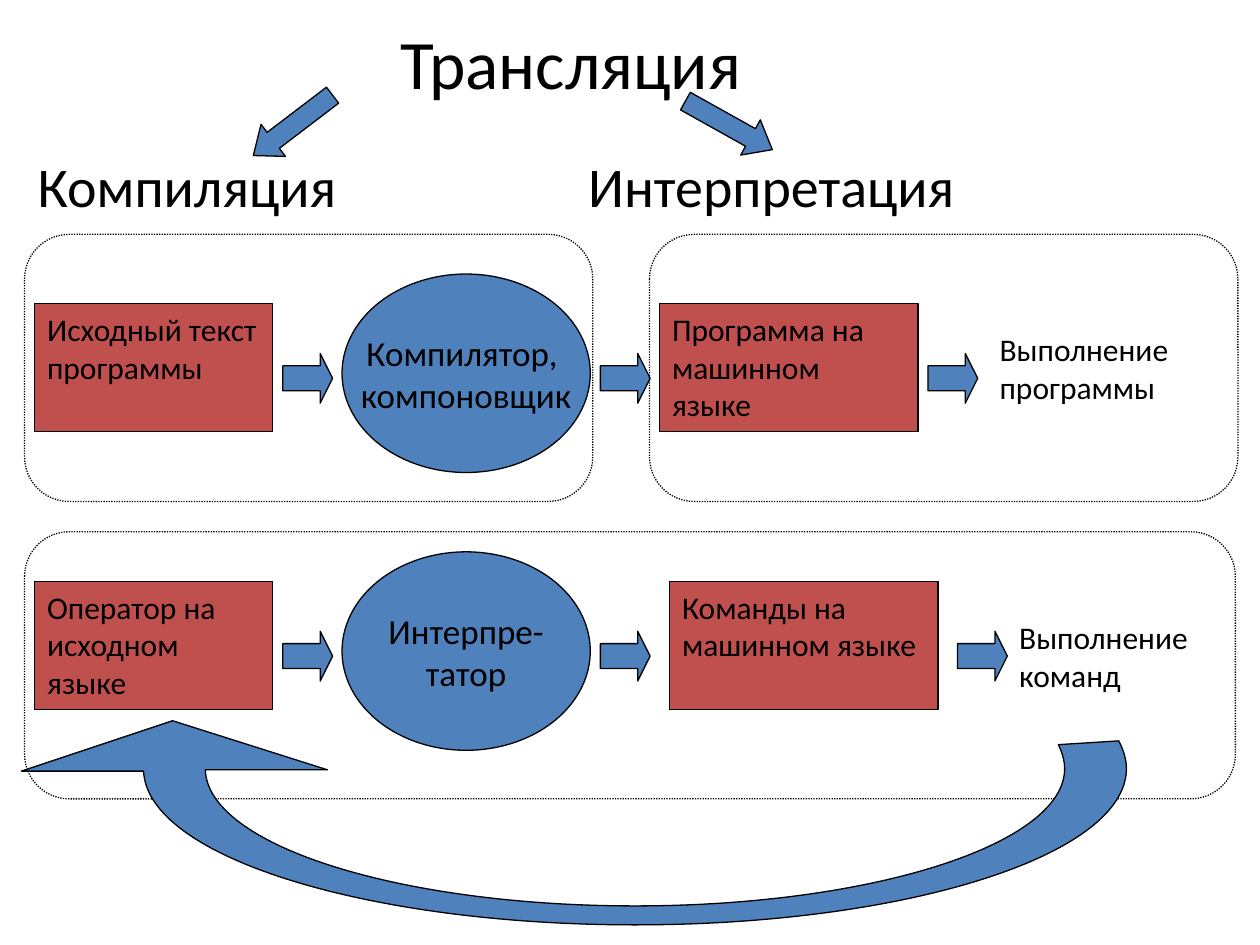
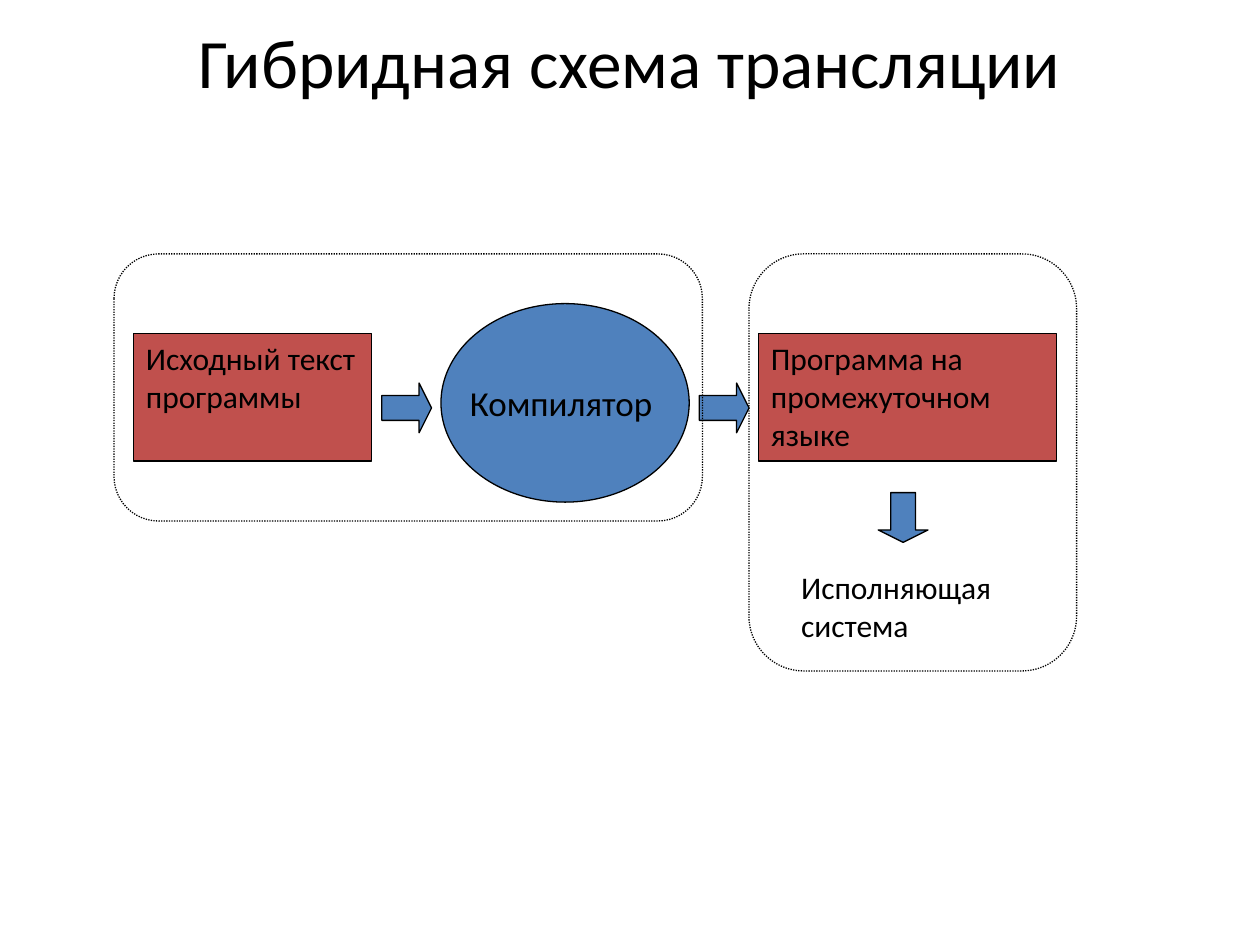
import lxml.etree
import pptx
import pptx.dml.color
import pptx.enum.dml
import pptx.enum.shapes
import pptx.enum.text
import pptx.oxml.ns
import pptx.util

BLACK = pptx.dml.color.RGBColor(0x00, 0x00, 0x00)
BLUE = pptx.dml.color.RGBColor(0x4F, 0x81, 0xBD)
RED = pptx.dml.color.RGBColor(0xC0, 0x50, 0x4D)
FONT = "Calibri"
KIND = pptx.enum.shapes.MSO_SHAPE
ALIGN = pptx.enum.text.PP_ALIGN
ANCHOR = pptx.enum.text.MSO_ANCHOR

deck = pptx.Presentation()
deck.slide_width = pptx.util.Inches(10)
deck.slide_height = pptx.util.Inches(7.5)
CELL = deck.slide_width // 100  # grid of 100 columns by 75 rows


def put(slide, kind, box, fill=None, turn=0, adj=()):
    """Place a shape by grid columns and rows; without a fill it is a dotted frame.

    A kind of None gives a plain text box.
    """
    place = [round(part * CELL) for part in box]
    if kind is None:
        return slide.shapes.add_textbox(*place)
    shape = slide.shapes.add_shape(kind, *place)
    shape.shadow.inherit = False
    shape.rotation = turn
    for spot, share in enumerate(adj):
        shape.adjustments[spot] = share
    shape.line.color.rgb = BLACK
    shape.line.width = pptx.util.Pt(0.75)
    if fill is None:
        shape.fill.background()
        shape.line.dash_style = pptx.enum.dml.MSO_LINE.ROUND_DOT
    else:
        shape.fill.solid()
        shape.fill.fore_color.rgb = fill
    return shape


def write(shape, text, size=18, align=ALIGN.LEFT, anchor=ANCHOR.TOP, wrap=True):
    """Fill a shape with black text in the common font."""
    frame = shape.text_frame
    frame.text = text
    frame.word_wrap = wrap
    frame.vertical_anchor = anchor
    for para in frame.paragraphs:
        para.alignment = align
        for run in para.runs:
            run.font.name = FONT
            run.font.size = pptx.util.Pt(size)
            run.font.color.rgb = BLACK


# Each slide: title and its box; flows of source, tool and result;
# extra arrows; captions; dotted frames
plan = [
    {
        "title": ("Трансляция", (27.2, 2.05, 36.2, 5.7)),
        "flows": [
            (2.75, 24.1, "Исходный текст программы", "Компилятор, \nкомпоновщик",
             "Программа на машинном языке", 52.35, 20.5),
            (2.75, 46.15, "Оператор на исходном языке", "Интерпре-\nтатор",
             "Команды на машинном языке", 53.15, 21.3),
        ],
        "arrows": [(73.65, 28.05, 0), (76, 50.1, 0)],
        "notes": [("Выполнение\nпрограммы", (78.35, 25.7, 18.1, 7)),
                  ("Выполнение\nкоманд", (79.9, 48.55, 18.1, 7))],
        "frames": [(1.95, 18.6, 45.1, 21.2), (1.95, 42.2, 96.1, 21.2),
                   (51.55, 18.6, 46.7, 21.2)],
    },
    {
        "title": ("Гибридная схема трансляции", (5, 1.3, 90, 7.1)),
        "flows": [
            (10.6, 26.45, "Исходный текст программы", "Компилятор ",
             "Программа на промежуточном языке", 60.2, 23.65),
        ],
        "arrows": [(69.7, 39.1, 90)],
        "notes": [("Исполняющая\nсистема", (62.6, 44.6, 20.3, 7))],
        "frames": [(9.05, 20.15, 46.7, 21.2), (59.45, 20.15, 26, 33.1)],
    },
]

for page in plan:
    slide = deck.slides.add_slide(deck.slide_layouts[6])
    title, box = page["title"]
    write(put(slide, None, box), title, 39.6, ALIGN.CENTER, ANCHOR.MIDDLE)

    arrows = list(page["arrows"])
    for left, top, source, tool, result, goal, width in page["flows"]:
        write(put(slide, KIND.RECTANGLE, (left, top, 18.9, 10.15), RED), source)
        oval = put(slide, KIND.OVAL, (left + 24.4, top - 2.35, 19.7, 15.75), BLUE)
        write(oval, tool, 20, ALIGN.CENTER, ANCHOR.MIDDLE, False)
        write(put(slide, KIND.RECTANGLE, (goal, top, width, 10.15), RED), result)
        arrows += [(left + step, top + 3.95, 0) for step in (19.7, 44.9)]

    for left, top, turn in arrows:
        put(slide, KIND.RIGHT_ARROW, (left, top, 3.95, 3.95), BLUE, turn, (0.5, 0.25))
    for text, box in page["notes"]:
        write(put(slide, None, box), text)
    for box in page["frames"]:
        put(slide, KIND.ROUNDED_RECTANGLE, box, adj=(0.167,))

# First slide: the two branches under the title
first = deck.slides[0]
heads = put(first, None, (2, 11.5, 90.3, 8.4))
write(heads, "Компиляция\tИнтерпретация", 32)
props = heads.text_frame.paragraphs[0]._p.get_or_add_pPr()
tabs = lxml.etree.SubElement(props, pptx.oxml.ns.qn("a:tabLst"))
lxml.etree.SubElement(tabs, pptx.oxml.ns.qn("a:tab"),
                      pos=str(round(43.7 * CELL)), algn="l")
for left, turn in ((19.3, 322.7), (53.9, 209.2)):
    put(first, KIND.LEFT_ARROW, (left, 8.35, 7.9, 3.2), BLUE, turn, (0.5, 0.62))

# First slide: the loop back; three points make a curve, one makes a line
start = (16.3, 61.1)
steps = [
    [(16.5, 67.1), (31.7, 71.9), (50.4, 71.9)],
    [(69.2, 71.9), (84.5, 67), (84.5, 61)],
    [(84.5, 60.4), (84.3, 59.7), (84, 59.1)],
    [(88.8, 58.8)],
    [(89.2, 59.6), (89.4, 60.3), (89.4, 61)],
    [(89.4, 67.9), (71.9, 73.4), (50.4, 73.4)],
    [(29.1, 73.4), (11.7, 68), (11.4, 61.2)],
    [(1.7, 61.2)],
    [(13.7, 57.2)],
    [(26, 61.1)],
]
pen = first.shapes.build_freeform(start[0] * CELL, start[1] * CELL)
pen.add_line_segments([(x * CELL, y * CELL) for step in steps for x, y in step])
loop = pen.convert_to_shape()
lines = iter(list(loop._element.iter(pptx.oxml.ns.qn("a:lnTo"))))
for step in steps:
    lead, *rest = [next(lines) for point in step]
    if rest:
        lead.tag = pptx.oxml.ns.qn("a:cubicBezTo")
    for line in rest:
        lead.append(line[0])
        line.getparent().remove(line)
loop.shadow.inherit = False
loop.fill.solid()
loop.fill.fore_color.rgb = BLUE
loop.line.color.rgb = BLACK
loop.line.width = pptx.util.Pt(0.75)

deck.save("out.pptx")
